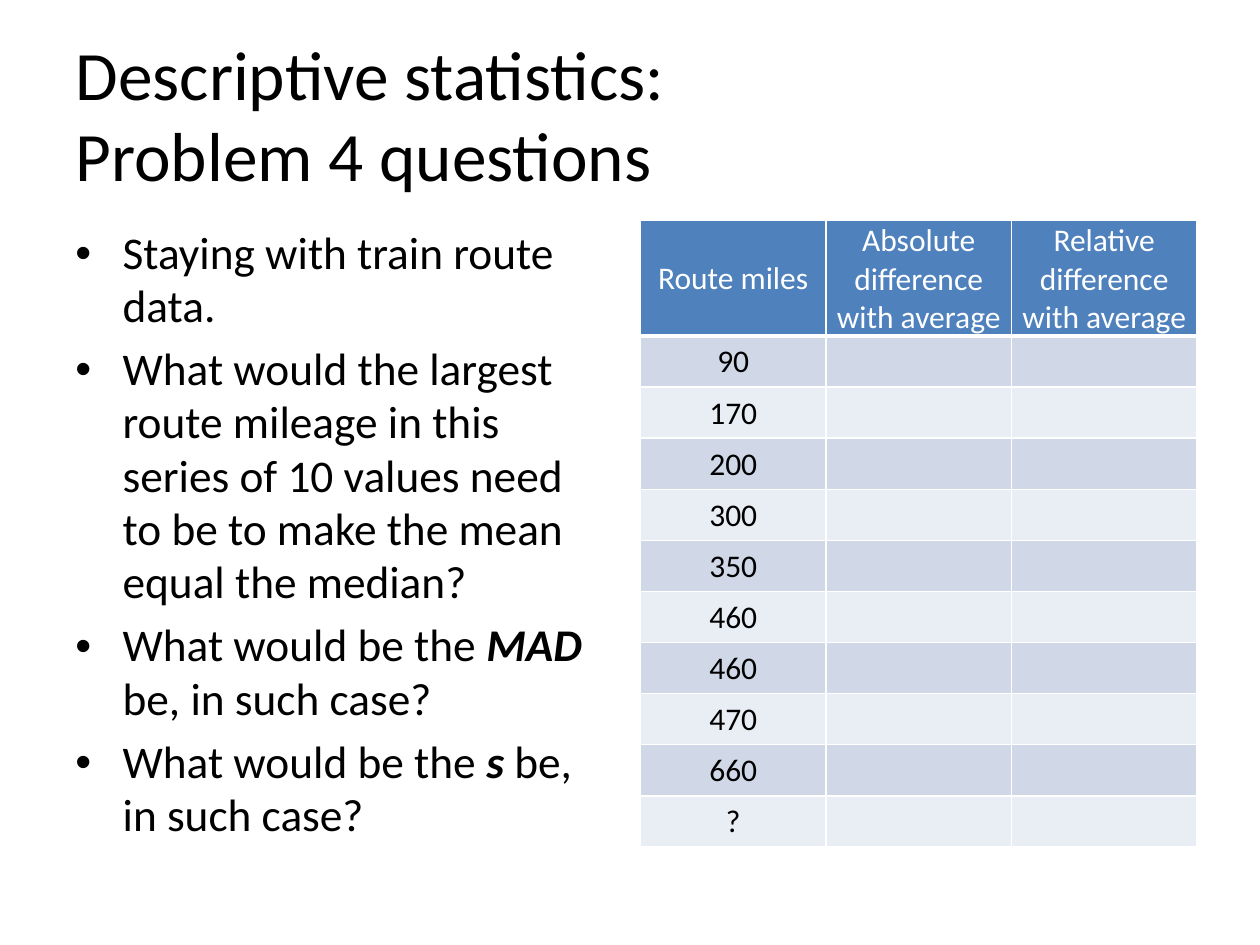
import lxml.etree
import pptx
import pptx.dml.color
import pptx.enum.text
import pptx.oxml.ns
import pptx.util

Pt = pptx.util.Pt
RGBColor = pptx.dml.color.RGBColor
ALIGN = pptx.enum.text.PP_ALIGN
ANCHOR = pptx.enum.text.MSO_ANCHOR
qn = pptx.oxml.ns.qn

FONT = "Calibri"
BLACK = RGBColor(0x00, 0x00, 0x00)
WHITE = RGBColor(0xFF, 0xFF, 0xFF)
HEADER_BLUE = RGBColor(0x4F, 0x81, 0xBD)
BANDS = [RGBColor(0xD0, 0xD8, 0xE8), RGBColor(0xE9, 0xED, 0xF4)]

TITLE = "Descriptive statistics:\vProblem 4 questions"
QUESTIONS = [
    ["Staying with train route data."],
    ["What would the largest route mileage in this series of 10 values need "
     "to be to make the mean equal the median?"],
    ["What would be the ", "MAD", " be, in such case?"],
    ["What would be the ", "s", " be, in such case?"],
]
HEADERS = ["Route miles", "Absolute difference with average",
           "Relative difference with average"]
ROUTE_MILES = ["90", "170", "200", "300", "350", "460", "460", "470", "660", "?"]


def style_font(font, size, color):
    """Apply the slide font with a size and colour."""
    font.name = FONT
    font.size = Pt(size)
    font.color.rgb = color


def place(shape, left, top, width, height):
    """Move a shape to a box given in points."""
    shape.left, shape.top = Pt(left), Pt(top)
    shape.width, shape.height = Pt(width), Pt(height)


def add_title(slide, left, top, width, height):
    """Fill the title placeholder."""
    title = slide.shapes.title
    place(title, left, top, width, height)
    frame = title.text_frame
    frame.text = TITLE
    frame.word_wrap = True
    frame.vertical_anchor = ANCHOR.MIDDLE
    heading = frame.paragraphs[0]
    heading.alignment = ALIGN.LEFT
    heading.line_spacing = 0.98
    for run in heading.runs:
        style_font(run.font, 39.6, BLACK)


def add_bullet(paragraph, indent):
    """Give a paragraph a hanging round bullet."""
    properties = paragraph._p.get_or_add_pPr()
    properties.set("marL", str(Pt(indent)))
    properties.set("indent", str(-Pt(indent)))
    lxml.etree.SubElement(properties, qn("a:buFont"), typeface="Arial")
    lxml.etree.SubElement(properties, qn("a:buChar"), char="•")


def add_questions(slide, left, top, width, height):
    """Write the bulleted questions, with every second run as a symbol."""
    frame = slide.shapes.add_textbox(
        Pt(left), Pt(top), Pt(width), Pt(height)).text_frame
    frame.word_wrap = True
    for number, question in enumerate(QUESTIONS):
        paragraph = frame.add_paragraph() if number else frame.paragraphs[0]
        paragraph.space_before = Pt(5.5)
        paragraph.line_spacing = 0.98
        add_bullet(paragraph, 27)
        for part, words in enumerate(question):
            run = paragraph.add_run()
            run.text = words
            style_font(run.font, 25.9, BLACK)
            if part % 2:
                run.font.bold = run.font.italic = True


def set_borders(cell, widths):
    """Draw white cell borders, with widths for left, right, top and bottom."""
    properties = cell._tc.get_or_add_tcPr()
    for position, (side, width) in enumerate(zip("LRTB", widths)):
        line = lxml.etree.Element(qn(f"a:ln{side}"), w=str(Pt(width)))
        fill = lxml.etree.SubElement(line, qn("a:solidFill"))
        lxml.etree.SubElement(fill, qn("a:srgbClr"), val=str(WHITE))
        properties.insert(position, line)


def fill_cell(cell, words, fill, color, widths):
    """Write and format one centred table cell."""
    cell.fill.solid()
    cell.fill.fore_color.rgb = fill
    cell.vertical_anchor = ANCHOR.MIDDLE
    cell.margin_left = cell.margin_right = cell.margin_top = Pt(0.75)
    cell.margin_bottom = Pt(0)
    cell.text_frame.text = words
    paragraph = cell.text_frame.paragraphs[0]
    paragraph.alignment = ALIGN.CENTER
    style_font(paragraph.font, 18, color)
    for run in paragraph.runs:
        style_font(run.font, 18, color)
    set_borders(cell, widths)


def add_route_table(slide, left, top, width, height):
    """Add the route mileage table with a tall header and equal data rows."""
    rows = [HEADERS] + [[miles, "", ""] for miles in ROUTE_MILES]
    table = slide.shapes.add_table(
        len(rows), len(HEADERS), Pt(left), Pt(top), Pt(width), Pt(height)).table
    header_height = 66
    for column in table.columns:
        column.width = Pt(width / len(HEADERS))
    for index, row in enumerate(rows):
        table.rows[index].height = Pt(
            (height - header_height) / len(ROUTE_MILES) if index else header_height)
        fill = BANDS[(index - 1) % 2] if index else HEADER_BLUE
        color = BLACK if index else WHITE
        widths = [1, 1, 3 if index == 1 else 1, 1 if index else 3]
        for position, words in enumerate(row):
            fill_cell(table.cell(index, position), words, fill, color, widths)


def main():
    """Build and save the slide."""
    presentation = pptx.Presentation()
    presentation.slide_width, presentation.slide_height = Pt(720), Pt(540)
    slide = presentation.slides.add_slide(presentation.slide_layouts[5])
    add_title(slide, 36, 21.6, 648, 90)
    add_questions(slide, 36, 126, 318, 356.4)
    add_route_table(slide, 366, 126, 318, 358)
    presentation.save("out.pptx")


if __name__ == "__main__":
    main()
